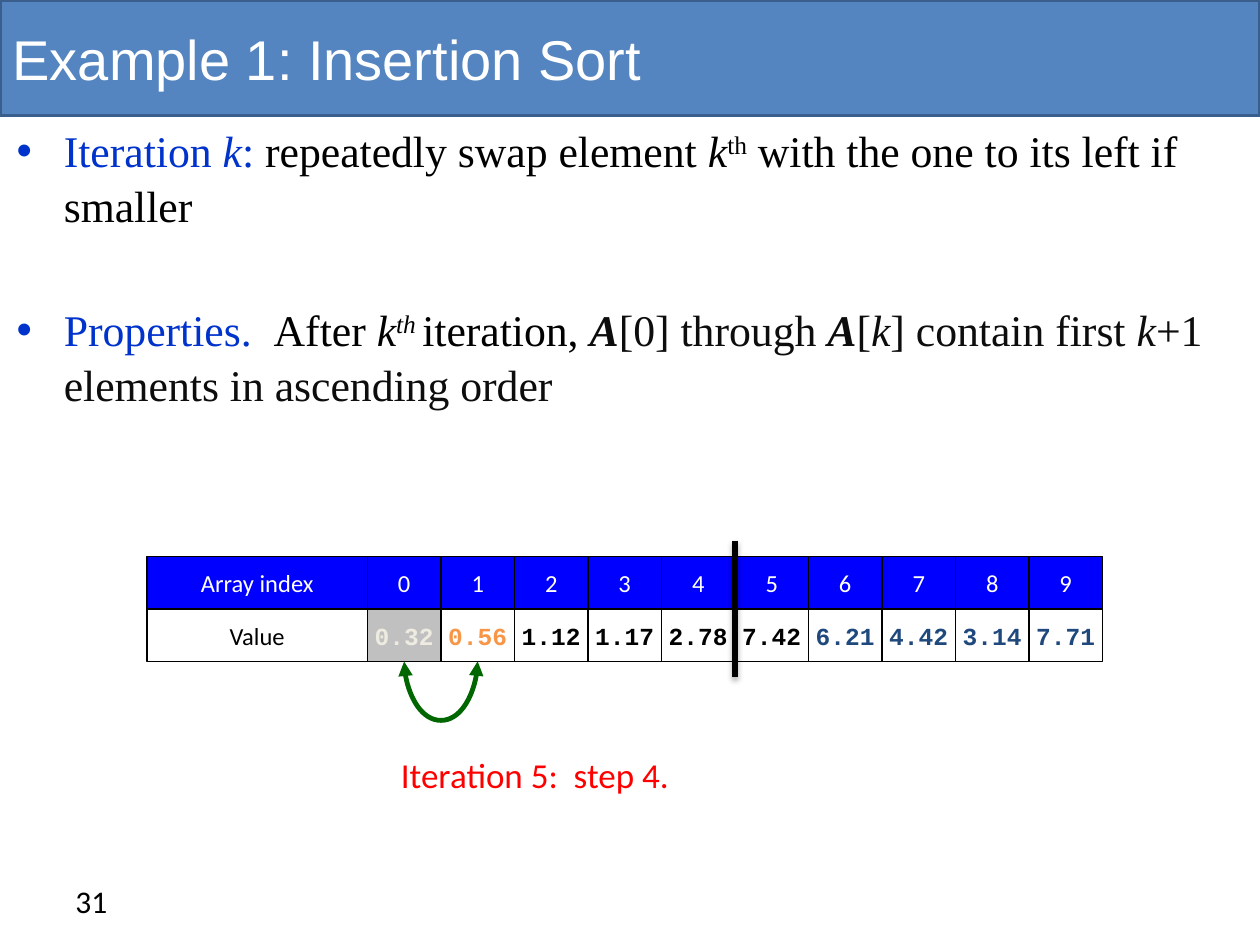
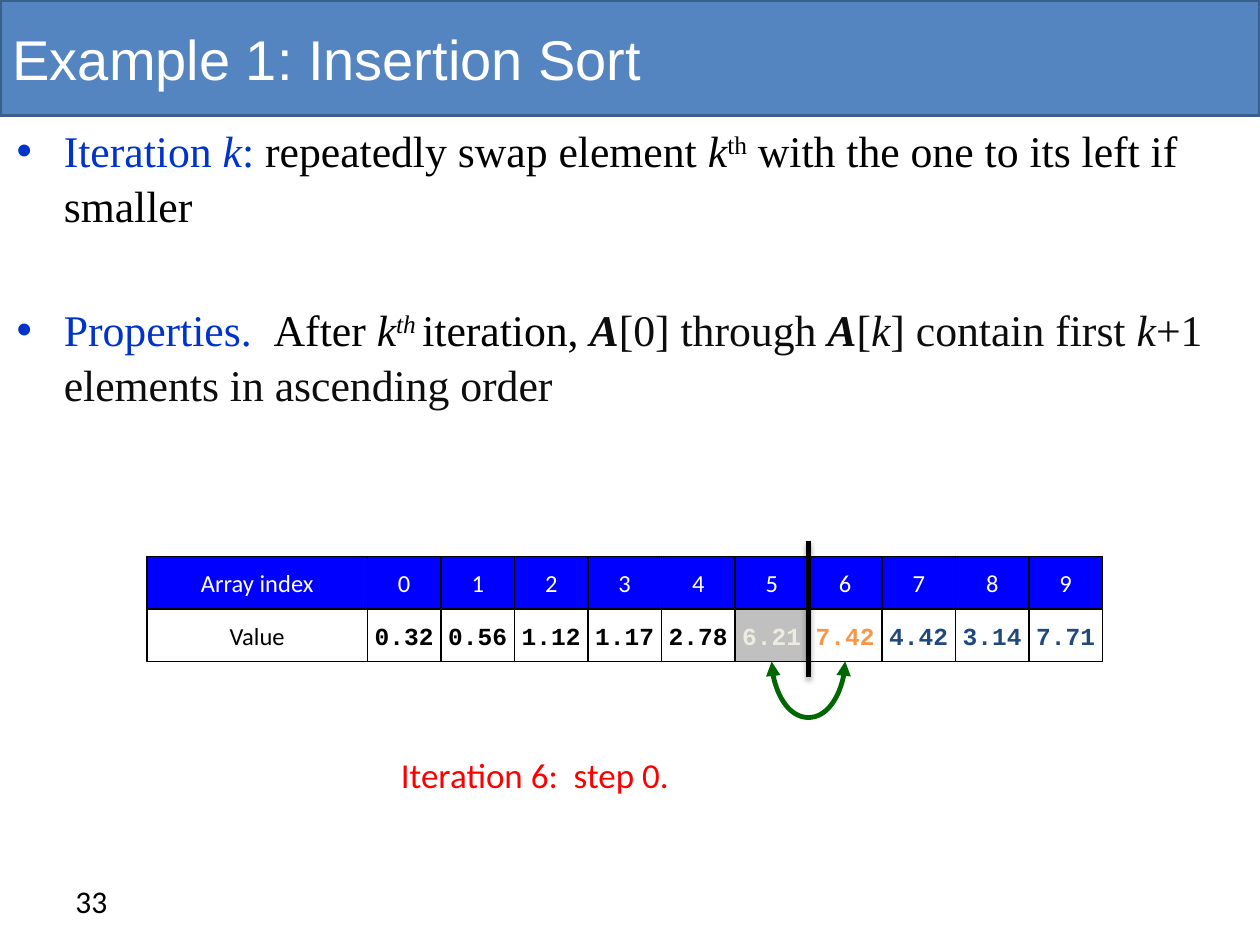
"""Build two slides that trace steps of insertion sort on a ten-element array."""
import pptx
import pptx.dml.color
import pptx.enum.shapes
import pptx.enum.text
import pptx.oxml
import pptx.oxml.ns
import pptx.util

PX = 7620
PAGE_SIZE = (1200, 900)
BAND = (0, 0, 1200, 110)
BODY = (4, 108, 1210, 302)
CAPTION = (370, 712, 490, 53)
NUMBER = (60, 834, 280, 48)
GRID_LEFT, GRID_TOP = 140, 530
LABEL_WIDTH, CELL_WIDTH, CELL_HEIGHT = 210, 70, 50
DIVIDER_OVERHANG = (15, 15)
CONNECTOR_THICKNESS = 1588

BLACK, WHITE, RED = "000000", "FFFFFF", "FF0000"
BAND_FILL, BAND_LINE = "5485C0", "3A5F8C"
HEADER_FILL, MOVED_FILL = "0000FF", "C0C0C0"
MOVED_TEXT, SWAPPED_TEXT, PENDING_TEXT = "EEECE1", "F79646", "1F497D"
LEAD, INK, SWAP_ARROW = "0033CC", "0D0D0D", "006600"

TITLE = "Example 1: Insertion Sort"
LEAD_STYLE = {"color": LEAD}
INK_STYLE = {"color": INK}
INK_ITALIC = {"color": INK, "italic": True}
INK_ARRAY = {"color": INK, "italic": True, "bold": True}
BULLETS = [
    [
        ("Iteration ", LEAD_STYLE),
        ("k", {"color": LEAD, "italic": True}),
        (": ", LEAD_STYLE),
        ("repeatedly swap element ", {}),
        ("k", {"italic": True}),
        ("th", {"raised": True}),
        (" with the one to its left if smaller", {}),
    ],
    [
        ("Properties.  ", LEAD_STYLE),
        ("After ", {}),
        ("k", {"italic": True}),
        ("th ", {"italic": True, "raised": True}),
        ("iteration, ", {}),
        ("A", INK_ARRAY),
        ("[0] through ", INK_STYLE),
        ("A", INK_ARRAY),
        ("[", INK_STYLE),
        ("k", INK_ITALIC),
        ("] contain first ", INK_STYLE),
        ("k", INK_ITALIC),
        ("+1 elements in ascending order", INK_STYLE),
    ],
]
STEPS = [
    {"number": "31", "iteration": 5, "step": 4,
     "values": "0.32 0.56 1.12 1.17 2.78 7.42 6.21 4.42 3.14 7.71".split()},
    {"number": "33", "iteration": 6, "step": 0,
     "values": "0.32 0.56 1.12 1.17 2.78 6.21 7.42 4.42 3.14 7.71".split()},
]
SWAP_DEPTHS = {5: 62, 6: 59}


def rgb(value):
    """Turn a hex string into a colour."""
    return pptx.dml.color.RGBColor.from_string(value)


def scaled(*lengths):
    """Turn px lengths into EMU."""
    return [pptx.util.Emu(round(length * PX)) for length in lengths]


def xml(markup):
    """Parse one DrawingML element."""
    return pptx.oxml.parse_xml(markup.replace(" ", f" {pptx.oxml.ns.nsdecls('a')} ", 1))


def write(para, text, font="Calibri", size=14, color=BLACK, bold=False, italic=False, raised=False):
    """Add one formatted span to a paragraph."""
    span = para.add_run()
    span.text = text
    span.font.name = font
    span.font.size = pptx.util.Pt(size)
    span.font.color.rgb = rgb(color)
    span.font.bold = bold
    span.font.italic = italic
    if raised:
        span._r.get_or_add_rPr().set("baseline", "30000")


def add_text(page, place, text, **style):
    """Add a text box with one line."""
    box = page.shapes.add_textbox(*scaled(*place))
    box.text_frame.word_wrap = True
    write(box.text_frame.paragraphs[0], text, **style)


def add_rectangle(page, place, fill, line, width):
    """Add a flat outlined rectangle."""
    box = page.shapes.add_shape(pptx.enum.shapes.MSO_SHAPE.RECTANGLE, *scaled(*place))
    box.shadow.inherit = False
    box.fill.solid()
    box.fill.fore_color.rgb = rgb(fill)
    box.line.color.rgb = rgb(line)
    box.line.width = pptx.util.Pt(width)
    return box


def add_cell(page, column, row, text, fill=WHITE, **style):
    """Add an array cell; column -1 holds the row label."""
    left, width = GRID_LEFT, LABEL_WIDTH
    if column >= 0:
        left, width = GRID_LEFT + LABEL_WIDTH + column * CELL_WIDTH, CELL_WIDTH
    place = (left, GRID_TOP + row * CELL_HEIGHT, width, CELL_HEIGHT)
    cell = add_rectangle(page, place, fill, BLACK, 0.75)
    cell.text_frame.word_wrap = False
    cell.text_frame.vertical_anchor = pptx.enum.text.MSO_ANCHOR.MIDDLE
    para = cell.text_frame.paragraphs[0]
    para.alignment = pptx.enum.text.PP_ALIGN.CENTER
    write(para, text, **style)
    return cell


def add_array(page, values, iteration, moved):
    """Draw the index and value rows and return the value cells."""
    for column, text in enumerate(["Array index", *map(str, range(len(values)))], -1):
        add_cell(page, column, 0, text, fill=HEADER_FILL, color=WHITE)
    add_cell(page, -1, 1, "Value")
    cells = []
    for index, value in enumerate(values):
        color = BLACK if index <= iteration else PENDING_TEXT
        color = {moved: MOVED_TEXT, moved + 1: SWAPPED_TEXT}.get(index, color)
        fill = MOVED_FILL if index == moved else WHITE
        cells.append(add_cell(page, index, 1, value, fill=fill, font="Courier New",
                              color=color, bold=True))
    return cells


def add_line(page, kind, ends, color, width, effect):
    """Add a connector with its own effect list."""
    line = page.shapes.add_connector(kind, *scaled(*ends))
    line.line.color.rgb = rgb(color)
    line.line.width = pptx.util.Pt(width)
    line._element.spPr.append(xml(effect))
    return line


def add_swap_arrow(page, first, second, depth):
    """Join the bottoms of two cells with a hanging two-headed curve."""
    arrow = add_line(page, pptx.enum.shapes.MSO_CONNECTOR.CURVE, (0, 0, 0, 0),
                     SWAP_ARROW, 2.75, "<a:effectLst />")
    arrow.begin_connect(first, 2)
    arrow.end_connect(second, 2)
    span = second.left - first.left
    arrow.left = second.left - CONNECTOR_THICKNESS // 2
    arrow.top = first.top + first.height - span // 2
    arrow.width, arrow.height = CONNECTOR_THICKNESS, span
    properties = arrow._element.spPr
    properties.xfrm.set("rot", "16200000")
    properties.xfrm.set("flipH", "1")
    bend = round(depth * PX / CONNECTOR_THICKNESS * 100000)
    guides = properties.prstGeom.get_or_add_avLst()
    guides.append(xml(f'<a:gd name="adj1" fmla="val {bend}"/>'))
    for end in ("headEnd", "tailEnd"):
        arrow.line._get_or_add_ln().append(xml(f'<a:{end} type="triangle"/>'))


def add_divider(page, iteration):
    """Mark the border between the sorted part and the rest."""
    x = GRID_LEFT + LABEL_WIDTH + iteration * CELL_WIDTH
    above, below = DIVIDER_OVERHANG
    shadow = ('<a:effectLst ><a:outerShdw blurRad="40000" dist="23000" dir="5400000">'
              '<a:srgbClr val="000000"><a:alpha val="35000"/></a:srgbClr>'
              '</a:outerShdw></a:effectLst>')
    add_line(page, pptx.enum.shapes.MSO_CONNECTOR.STRAIGHT,
             (x, GRID_TOP - above, x, GRID_TOP + 2 * CELL_HEIGHT + below), BLACK, 3, shadow)


def add_bullets(page):
    """Add the two explanatory bullets."""
    box = page.shapes.add_textbox(*scaled(*BODY))
    frame = box.text_frame
    frame.word_wrap = True
    frame.margin_top = scaled(8)[0]
    for number, spans in enumerate(BULLETS):
        para = frame.add_paragraph() if number else frame.paragraphs[0]
        properties = para._p.get_or_add_pPr()
        properties.set("marL", "342900")
        properties.set("indent", "-342900")
        properties.append(xml(f'<a:buClr ><a:srgbClr val="{LEAD}"/></a:buClr>'))
        properties.append(xml('<a:buFont typeface="Arial"/>'))
        properties.append(xml('<a:buChar char="•"/>'))
        para.line_spacing = 1.04
        if number:
            para.space_before = pptx.util.Pt(40)
        for text, style in spans:
            write(para, text, font="Times New Roman", size=25, **style)


def add_title(page):
    """Place and format the title."""
    title = page.shapes.title
    title.left, title.top, title.width, title.height = scaled(*BAND)
    title.text_frame.vertical_anchor = pptx.enum.text.MSO_ANCHOR.MIDDLE
    para = title.text_frame.paragraphs[0]
    para.alignment = pptx.enum.text.PP_ALIGN.LEFT
    write(para, TITLE, font="Arial", size=32, color=WHITE)


def main():
    """Build and save the deck."""
    deck = pptx.Presentation()
    deck.slide_width, deck.slide_height = scaled(*PAGE_SIZE)
    layout = deck.slide_layouts[5]
    for number, state in enumerate(STEPS):
        page = deck.slides.add_slide(layout)
        if number == 0:
            band = add_rectangle(page, BAND, BAND_FILL, BAND_LINE, 2)
            layout.shapes._spTree.insert(2, band._element)
        iteration, step = state["iteration"], state["step"]
        moved = iteration - 1 - step
        add_title(page)
        add_text(page, NUMBER, state["number"], size=18)
        cells = add_array(page, state["values"], iteration, moved)
        add_text(page, CAPTION, f"Iteration {iteration}:  step {step}.", size=20, color=RED)
        add_swap_arrow(page, cells[moved], cells[moved + 1], SWAP_DEPTHS[iteration])
        add_bullets(page)
        add_divider(page, iteration)
    deck.save("out.pptx")


if __name__ == "__main__":
    main()
